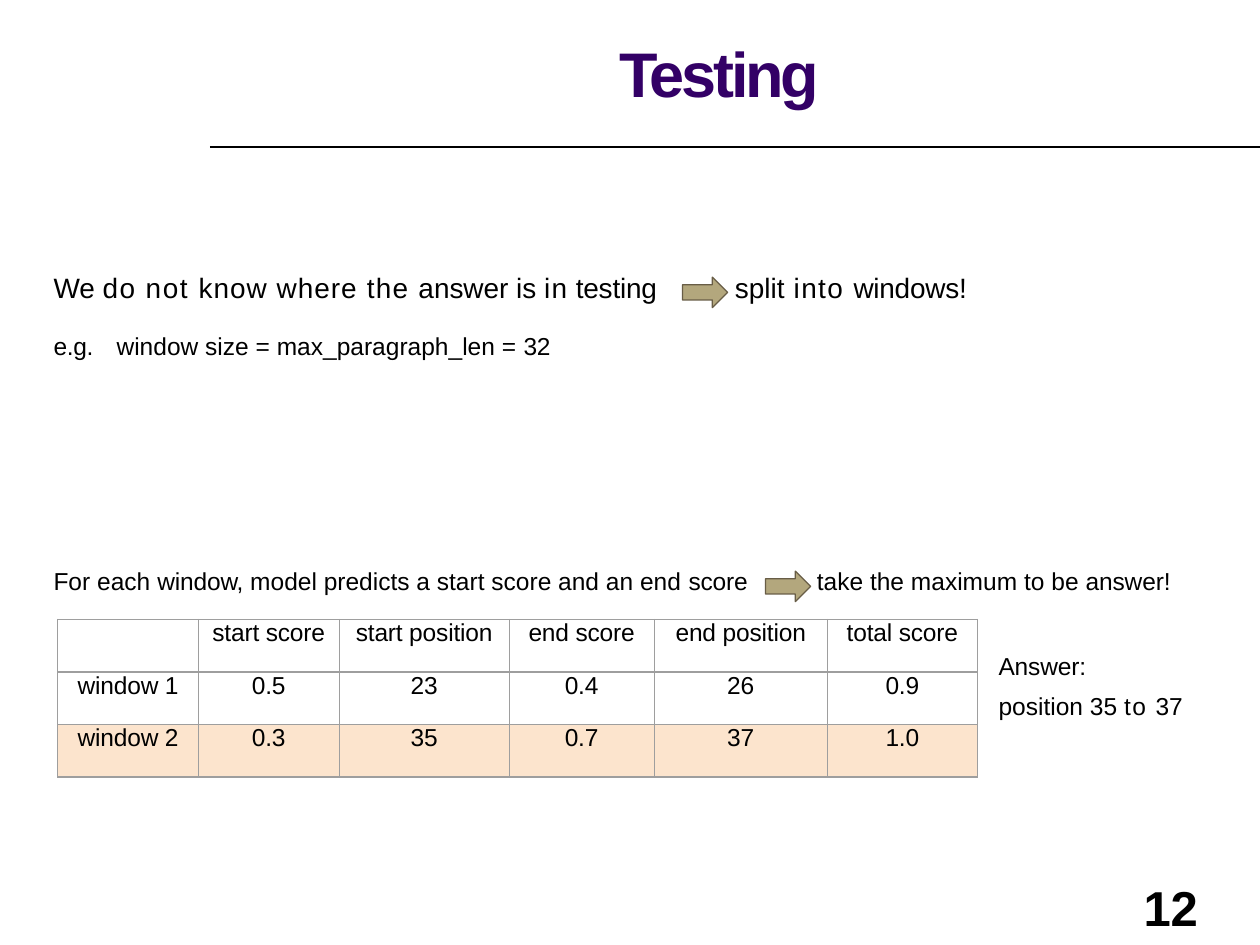
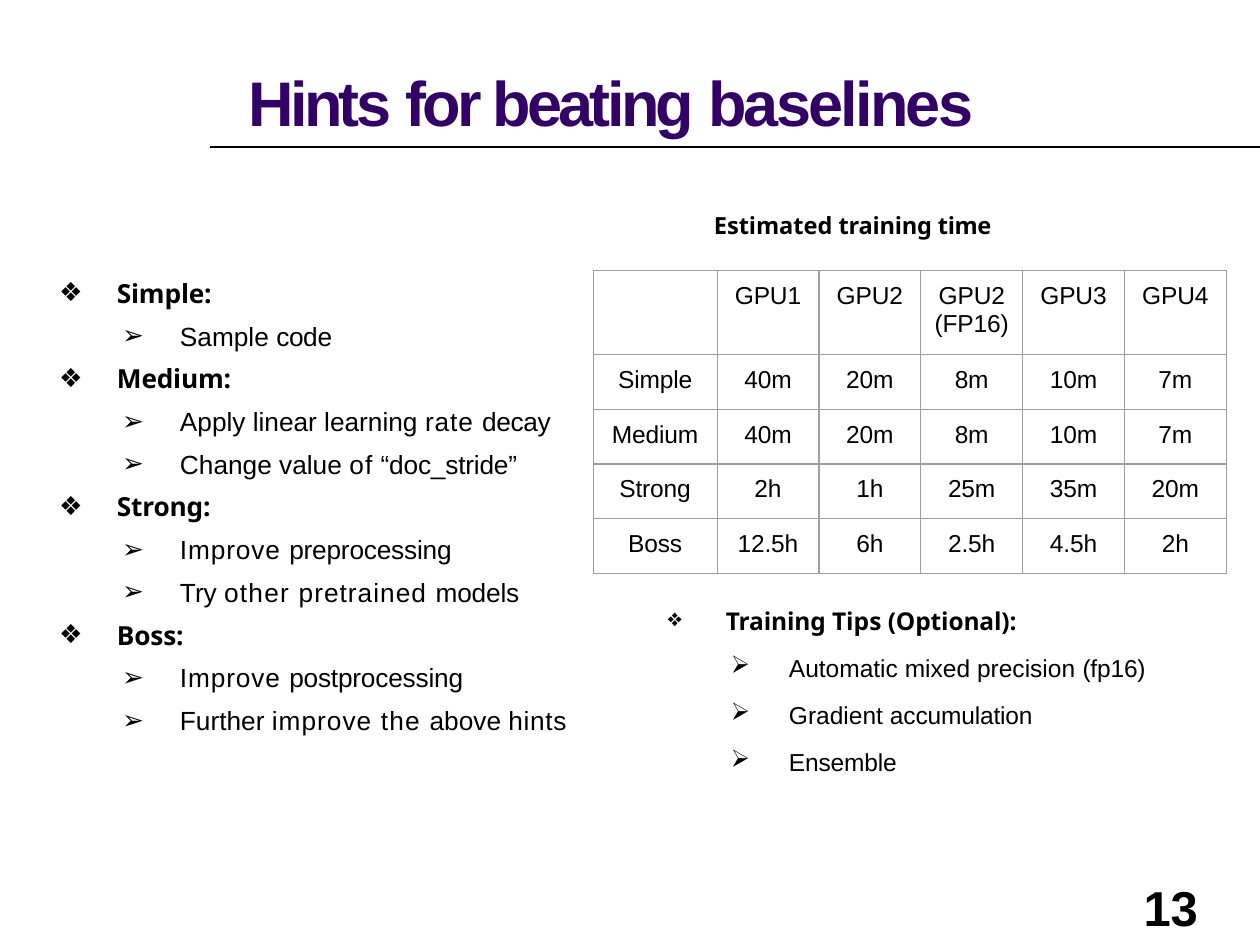
from dataclasses import dataclass

from lxml import etree
from pptx import Presentation, util as u
from pptx.dml.color import RGBColor
from pptx.enum import shapes, text
from pptx.oxml.ns import qn

COLS, ROWS = 120, 90  # layout grid of the slide
CELL = u.Inches(10) // COLS


@dataclass(frozen=True)
class Theme:
    font: str = "Arial"
    heading_font: str = "Noto Sans"
    ink: str = "000000"
    title: str = "330066"
    arrow: str = "B3A77D"
    arrow_line: str = "685D46"
    border: str = "9E9E9E"
    highlight: str = "FCE4CD"
    title_size: float = 36
    number_size: float = 28
    lead_size: float = 16
    list_size: float = 15
    caption_size: float = 13.5
    text_size: float = 14
    line_width: float = 0.75
    list_leading: float = 1.2


T = Theme()
CENTER = text.PP_ALIGN.CENTER
BULLETS = ("❖", "➢")


def rgb(code):
    return RGBColor.from_string(code)


def grid(*cells):
    return [u.Emu(round(c * CELL)) for c in cells]


def add_xml(parent, tag, **attrs):
    return etree.SubElement(parent, qn(tag), {k: str(v) for k, v in attrs.items()})


def write(p, runs, size=T.text_size, font=T.font, bold=False, color=T.ink,
          align=None, before=0):
    """Fill a paragraph; runs are one string or (string, letter spacing) pairs."""
    p.alignment = align
    p.space_before = u.Pt(before)
    for words, spacing in [(runs, 0)] if isinstance(runs, str) else runs:
        r = p.add_run()
        r.text = words
        f = r.font
        f.name, f.size, f.bold = font, u.Pt(size), bold
        f.color.rgb = rgb(color)
        if spacing:
            r._r.get_or_add_rPr().set("spc", str(round(spacing * 100)))


def indent(p, left=0, hanging=0, bullet=None, tab=None):
    pPr = p._p.get_or_add_pPr()
    pPr.set("marL", str(u.Inches(left)))
    pPr.set("indent", str(-u.Inches(hanging)))
    if bullet:
        add_xml(pPr, "a:buChar", char=bullet)
    else:
        add_xml(pPr, "a:buNone")
    if tab:
        add_xml(add_xml(pPr, "a:tabLst"), "a:tab", pos=u.Inches(tab), algn="l")


def place(sp, box, top=0.1):
    """Put a text shape on the grid, without insets but for the top one."""
    sp.left, sp.top, sp.width, sp.height = grid(*box)
    tf = sp.text_frame
    tf.word_wrap, tf.auto_size = True, text.MSO_AUTO_SIZE.NONE
    tf.margin_left = tf.margin_right = tf.margin_bottom = 0
    tf.margin_top = grid(top)[0]
    return tf


def next_paragraph(tf, i):
    return tf.add_paragraph() if i else tf.paragraphs[0]


def add_label(slide, box, *lines, top=0.1, before=0, **style):
    tf = place(slide.shapes.add_textbox(0, 0, 0, 0), box, top)
    for i, runs in enumerate(lines):
        write(next_paragraph(tf, i), runs, before=before, **style)
    return tf


def fill_outline(tf, items, size, before):
    """Write (level, runs) items as bulleted headings and their points."""
    for i, (level, runs) in enumerate(items):
        p = next_paragraph(tf, i)
        p.level = level
        p.line_spacing = u.Pt(size * T.list_leading)
        write(p, runs, size, T.font if level else T.heading_font,
              bold=level == 0, before=before)
        indent(p, 0.47 + 0.5 * level, 0.46, BULLETS[level])


def add_frame(prs, number, title, title_box):
    """Add a slide with its title, rule and number."""
    slide = prs.slides.add_slide(prs.slide_layouts[1])
    rule = slide.shapes.add_connector(shapes.MSO_CONNECTOR.STRAIGHT,
                                      *grid(20, 14, COLS, 14))
    rule.line.color.rgb = rgb(T.ink)
    rule.line.width = u.Pt(T.line_width)
    add_xml(rule._element.spPr, "a:effectLst")
    tf = place(slide.shapes.title, title_box, 0.2)
    tf.vertical_anchor = text.MSO_ANCHOR.MIDDLE
    write(tf.paragraphs[0], title, T.title_size, bold=True, color=T.title, align=CENTER)
    add_label(slide, (107, 83, 9, 7), str(number), top=0.6, size=T.number_size,
              bold=True, align=CENTER)
    return slide


def add_arrow(slide, left, top):
    sp = slide.shapes.add_shape(shapes.MSO_SHAPE.RIGHT_ARROW, *grid(left, top, 4.3, 2.9))
    sp.shadow.inherit = False
    sp.fill.solid()
    sp.fill.fore_color.rgb = rgb(T.arrow)
    sp.line.color.rgb = rgb(T.arrow_line)
    sp.line.width = u.Pt(T.line_width)


def style_cell(cell, fill, top):
    cell.margin_left = cell.margin_right = cell.margin_bottom = 0
    cell.margin_top = grid(top)[0]
    tcPr = cell._tc.get_or_add_tcPr()
    for side in ("a:lnL", "a:lnR", "a:lnT", "a:lnB"):
        ln = add_xml(tcPr, side, w=u.Pt(T.line_width))
        add_xml(add_xml(ln, "a:solidFill"), "a:srgbClr", val=T.border)
    if fill:
        cell.fill.solid()
        cell.fill.fore_color.rgb = rgb(fill)
    else:
        cell.fill.background()


def add_grid_table(slide, left, top, widths, heights, rows, inset=0, highlight_row=None):
    frame = slide.shapes.add_table(len(rows), len(widths),
                                   *grid(left, top, sum(widths), sum(heights)))
    table = frame.table
    table.first_row = table.horz_banding = False
    for column, width in zip(table.columns, grid(*widths)):
        column.width = width
    for i, (row, height) in enumerate(zip(table.rows, grid(*heights))):
        row.height = height
        for cell, words in zip(row.cells, rows[i]):
            style_cell(cell, T.highlight if i == highlight_row else None, inset)
            if words:
                write(cell.text_frame.paragraphs[0], [(words, -0.1)], align=CENTER)


def build_testing(prs):
    slide = add_frame(prs, 12, [("Testing", -1.9)], (21, 3, 95, 7.5))
    tf = place(slide.placeholders[1], (5.1, 25.7, 59, 8.9))
    question, example = tf.paragraphs[0], tf.add_paragraph()
    write(question, [("We ", 0), ("do ", 0.8), ("not ", 0.9), ("know where ", 0.6),
                     ("the ", 0.7), ("answer is ", 0), ("in", 0.7), (" testing", -0.1)],
          T.lead_size)
    indent(question)
    write(example, [("e.g.", -0.2), ("\twindow size = max_paragraph_len = ", 0),
                    ("32", -0.2)], before=14.9)
    indent(example, tab=0.51)
    add_arrow(slide, 65, 26.4)
    add_label(slide, (70, 25.7, 24, 3.5),
              [("split", 0), (" into ", 0.8), ("windows!", -0.1)], size=T.lead_size)

    add_label(slide, (5.1, 53.8, 67.5, 3),
              [("For each ", 0), ("window, ", -0.1),
               ("model predicts a start score and an end ", 0), ("score", -0.1)])
    add_arrow(slide, 72.9, 54.4)
    add_label(slide, (77.8, 53.8, 35, 3),
              [("take the maximum to be", 0), (" answer!", -0.1)])
    add_grid_table(slide, 5.5, 59, (13.4, 13.4, 16.2, 13.8, 16.5, 14.3), [5] * 3, [
        ("", "start score", "start position", "end score", "end position", "total score"),
        ("window 1", "0.5", "23", "0.4", "26", "0.9"),
        ("window 2", "0.3", "35", "0.7", "37", "1.0"),
    ], highlight_row=2)
    add_label(slide, (95.1, 60.8, 20, 7.9), [("Answer:", -0.1)],
              [("position 35 ", 0), ("to ", 0.8), ("37", -0.2)], top=1.2, before=6)


def build_hints(prs):
    slide = add_frame(prs, 13, [("Hints ", -2), ("for beating ", -2.1),
                                ("baselines", -1.6)], (16.4, 5.8, 83.5, 7.5))
    fill_outline(place(slide.placeholders[1], (5.5, 25.2, 51, 45.1), 1.2), [
        (0, [("Simple:", -0.1)]),
        (1, [("Sample ", 0), ("code", -0.2)]),
        (0, [("Medium:", -0.1)]),
        (1, [("Apply linear learning ", 0), ("rate ", 0.5), ("decay", -0.2)]),
        (1, [("Change value ", 0), ("of", 0.7), (" “doc_stride”", -0.1)]),
        (0, [("Strong:", -0.1)]),
        (1, [("Improve ", 0.5), ("preprocessing", -0.1)]),
        (1, [("Try ", 0), ("other ", 0.7), ("pretrained ", 0.6), ("models", -0.1)]),
        (0, [("Boss:", -0.1)]),
        (1, [("Improve ", 0.5), ("postprocessing", -0.1)]),
        (1, [("Further ", 0), ("improve ", 0.6), ("the ", 0.7), ("above ", 0),
             ("hints", 0.4)]),
    ], T.list_size, before=6.4)

    add_label(slide, (68, 20, 28, 3),
              [("Estimated ", 0), ("training ", -0.1), ("time", -0.2)],
              size=T.caption_size, font=T.heading_font, bold=True)
    add_grid_table(slide, 56.5, 25.8, [11.8] + [9.7] * 5, [8] + [5.2] * 4, [
        ("", "GPU1", "GPU2", "GPU2 (FP16)", "GPU3", "GPU4"),
        ("Simple", "40m", "20m", "8m", "10m", "7m"),
        ("Medium", "40m", "20m", "8m", "10m", "7m"),
        ("Strong", "2h", "1h", "25m", "35m", "20m"),
        ("Boss", "12.5h", "6h", "2.5h", "4.5h", "2h"),
    ], inset=1.1)
    tips = place(slide.shapes.add_textbox(0, 0, 0, 0), (63.5, 57.6, 49, 16.6))
    fill_outline(tips, [
        (0, [("Training ", -0.1), ("Tips ", 0), ("(Optional):", -0.1)]),
        (1, [("Automatic mixed precision ", 0), ("(fp16)", -0.1)]),
        (1, [("Gradient ", 0), ("accumulation", -0.1)]),
        (1, [("Ensemble", -0.1)]),
    ], T.text_size, before=10)


def main():
    prs = Presentation()
    prs.slide_width, prs.slide_height = grid(COLS, ROWS)
    build_testing(prs)
    build_hints(prs)
    prs.save("out.pptx")


if __name__ == "__main__":
    main()
